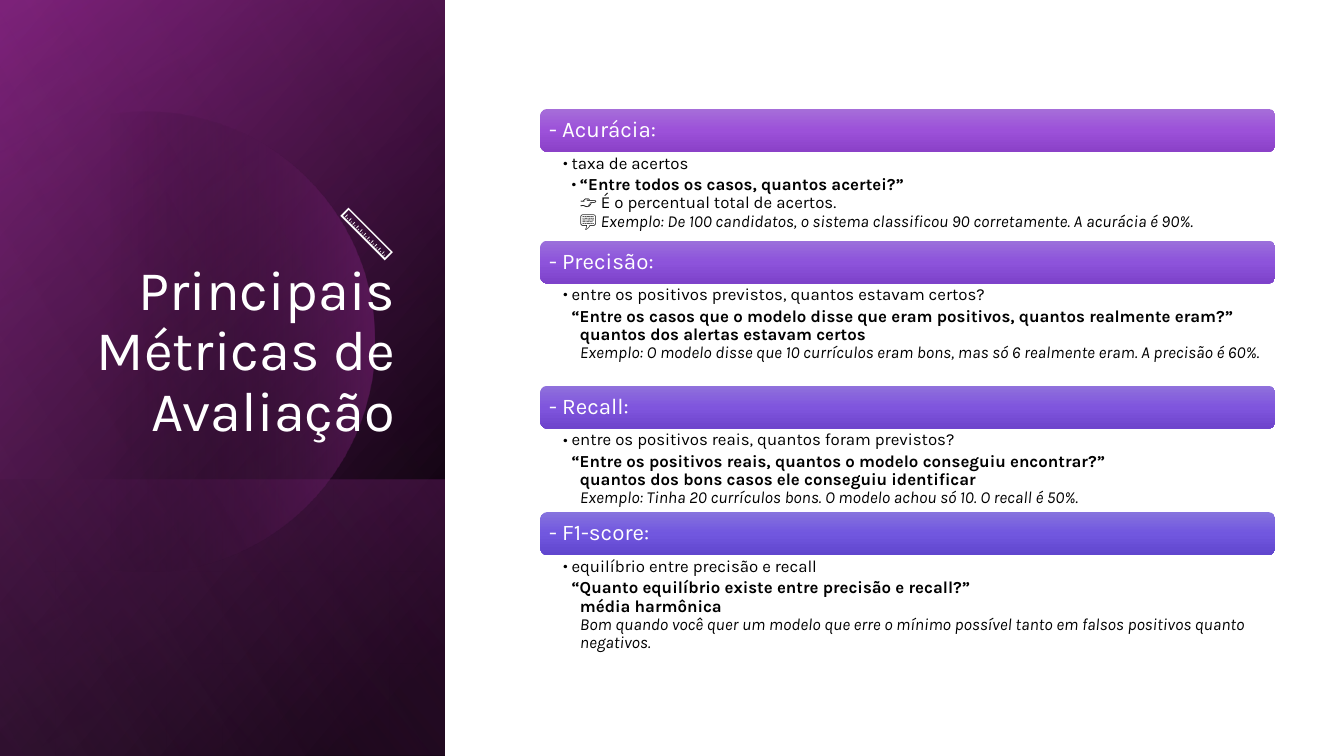
import copy
import math

from pptx import Presentation
from pptx import util as u
from pptx.dml.color import RGBColor
from pptx.enum import shapes, text
from pptx.oxml import parse_xml
from pptx.oxml.ns import nsdecls, qn

COLORS = {"white": "FFFFFF", "black": "000000", "plum": "6D1D6B",
          "purple": "92278F", "pink": "D665D3"}
FONT = "Karla"

# Slide in 16:9
deck = Presentation()
deck.slide_width = u.Inches(10)
deck.slide_height = u.Inches(10 * 9 / 16)
page = deck.slides.add_slide(deck.slide_layouts[6])


def paint(shape, stops, angle):
    """Gradient of (position %, colour, opacity %) stops, without line or shadow."""
    marks = "".join(
        f'<a:gs pos="{pos * 1000}"><a:srgbClr val="{color}">'
        f'<a:alpha val="{opacity * 1000}"/></a:srgbClr></a:gs>'
        for pos, color, opacity in stops)
    fill = parse_xml(f'<a:gradFill {nsdecls("a")} rotWithShape="1"><a:gsLst>{marks}</a:gsLst>'
                     f'<a:lin ang="{angle * 60000}" scaled="0"/></a:gradFill>')
    shape.line.fill.background()
    shape.shadow.inherit = False
    shape._element.spPr.find(qn("a:ln")).addprevious(fill)


def add_span(para, words, color, **format_values):
    span = para.add_run()
    span.text = words
    for name, value in {"name": FONT, **format_values}.items():
        setattr(span.font, name, value)
    span.font.color.rgb = RGBColor.from_string(COLORS[color])
    return span


# Left panel: stacked gradients, each turned a quarter and mirrored
black, purple, pink = COLORS["black"], COLORS["purple"], COLORS["pink"]
FULL = (-1.16, 1.16, 5.63, 3.31)
layers = [
    (FULL, [(8, black, 100), (100, COLORS["plum"], 100)], 50),
    (FULL, [(0, black, 0), (99, purple, 46)], 30),
    ((0.63, 2.94, 2.05, 3.31), [(2, purple, 29), (100, black, 30)], 130),
    ("disc", [(29, black, 0), (100, purple, 43)], 0),
    (FULL, [(0, black, 0), (99, pink, 11)], 120),
]
for place, stops, angle in layers:
    if place == "disc":
        # Circle cut off by the left edge of the slide
        center_x, center_y, radius = 1.08, 2.54, 1.71
        points = [(u.Inches(center_x + radius * math.cos(math.radians(turn))),
                   u.Inches(center_y + radius * math.sin(math.radians(turn))))
                  for turn in range(-129, 130, 3)]
        builder = page.shapes.build_freeform(*points[0])
        builder.add_line_segments(points[1:], close=True)
        layer = builder.convert_to_shape()
    else:
        layer = page.shapes.add_shape(shapes.MSO_SHAPE.RECTANGLE, *map(u.Inches, place))
        layer.rotation = 90
        layer._element.spPr.find(qn("a:xfrm")).set("flipH", "1")
    paint(layer, stops, angle)

# Title
title = page.shapes.add_textbox(*map(u.Inches, (0.48, 1.38, 2.56, 1.97)))
title.text_frame.word_wrap = True
title.text_frame.vertical_anchor = text.MSO_ANCHOR.BOTTOM
para = title.text_frame.paragraphs[0]
para.alignment = text.PP_ALIGN.RIGHT
para.line_spacing = 0.9
add_span(para, "📏 Principais Métricas de Avaliação", "white", size=u.Pt(30))

# Metrics: heading, bar colours, body height, summary, bullet on detail, detail lines.
# Each line is a list of (style, words).
metrics = [
    ("- Acurácia:", ("A66ED9", "9C51D9", "8B41C8"), 0.66, "taxa de acertos", True, [
        [("bold", "“Entre todos os casos, quantos acertei?”")],
        [("plain", "👉 É o percentual total de acertos.")],
        [("plain", "💬 "), ("italic", "Exemplo: De 100 candidatos, o sistema classificou 90 "
                                      "corretamente. A acurácia é 90%.")]]),
    ("- Precisão:", ("9B70DB", "8D53DB", "7D42CA"), 0.76,
     "entre os positivos previstos, quantos estavam certos?", False, [
        [("bold", "“Entre os casos que o modelo disse que eram positivos, "
                  "quantos realmente eram?”")],
        [("bold", "quantos dos alertas estavam certos")],
        [("italic", "Exemplo: O modelo disse que 10 currículos eram bons, "
                    "mas só 6 realmente eram. A precisão é 60%.")]]),
    ("- Recall:", ("9071DC", "7F55DD", "6E44CC"), 0.62,
     "entre os positivos reais, quantos foram previstos?", False, [
        [("bold", "“Entre os positivos reais, quantos o modelo conseguiu encontrar?”")],
        [("bold", "quantos dos bons casos ele conseguiu identificar")],
        [("italic", "Exemplo: Tinha 20 currículos bons. O modelo achou só 10. "
                    "O recall é 50%.")]]),
    ("- F1-score:", ("8673DE", "7157DF", "6046CE"), 0.76,
     "equilíbrio entre precisão e recall", False, [
        [("bold", "“Quanto equilíbrio existe entre precisão e recall?”")],
        [("bold", "média harmônica")],
        [("italic", "Bom quando você quer um modelo que erre o mínimo possível "
                    "tanto em falsos positivos quanto negativos.")]]),
]
LEFT, WIDTH, BAR = 4.02, 5.47, 0.32
INDENT = u.Pt(4.5)
top = 0.81
for heading, bar_colors, height, summary, bulleted, detail in metrics:
    # Heading bar
    bar = page.shapes.add_shape(shapes.MSO_SHAPE.ROUNDED_RECTANGLE,
                                *map(u.Inches, (LEFT, top, WIDTH, BAR)))
    paint(bar, [(pos, color, 100) for pos, color in zip((0, 50, 100), bar_colors)], 90)
    frame = bar.text_frame
    for side in ("left", "top", "right", "bottom"):
        setattr(frame, f"margin_{side}", u.Inches(0.05))
    frame.vertical_anchor = text.MSO_ANCHOR.MIDDLE
    para = frame.paragraphs[0]
    para.alignment = text.PP_ALIGN.LEFT
    para.line_spacing = 0.9
    add_span(para, heading, "white", size=u.Pt(12))

    # Summary and detail below the bar
    box = page.shapes.add_textbox(*map(u.Inches, (LEFT, top + BAR, WIDTH, height)))
    frame = box.text_frame
    frame.word_wrap = True
    for side, inset in {"left": 0.17, "top": 0.02, "right": 0.09, "bottom": 0.02}.items():
        setattr(frame, f"margin_{side}", u.Inches(inset))
    blocks = [(True, [[("plain", summary)]]), (bulleted, detail)]
    for level, (has_bullet, lines) in enumerate(blocks, 1):
        para = frame.paragraphs[0] if level == 1 else frame.add_paragraph()
        para.level = level
        para.line_spacing = 0.9
        para.space_after = u.Pt(1.8)
        props = para._p.get_or_add_pPr()
        props.set("marL", str(INDENT * level))
        props.set("indent", str(-INDENT))
        if has_bullet:
            props.append(parse_xml(f'<a:buFont {nsdecls("a")} typeface="{FONT}"/>'))
            props.append(parse_xml(f'<a:buChar {nsdecls("a")} char="•"/>'))
        else:
            props.append(parse_xml(f'<a:buNone {nsdecls("a")}/>'))
        for number, line in enumerate(lines):
            if number:
                para.add_line_break()
            for style, words in line:
                span = add_span(para, words, "black", size=u.Pt(9),
                                bold=style == "bold", italic=style == "italic")
        # Line breaks take the text size, so that line heights stay even
        for line_break in para._p.findall(qn("a:br")):
            line_break.append(copy.deepcopy(span._r.rPr))
    top += BAR + height

deck.save("out.pptx")
